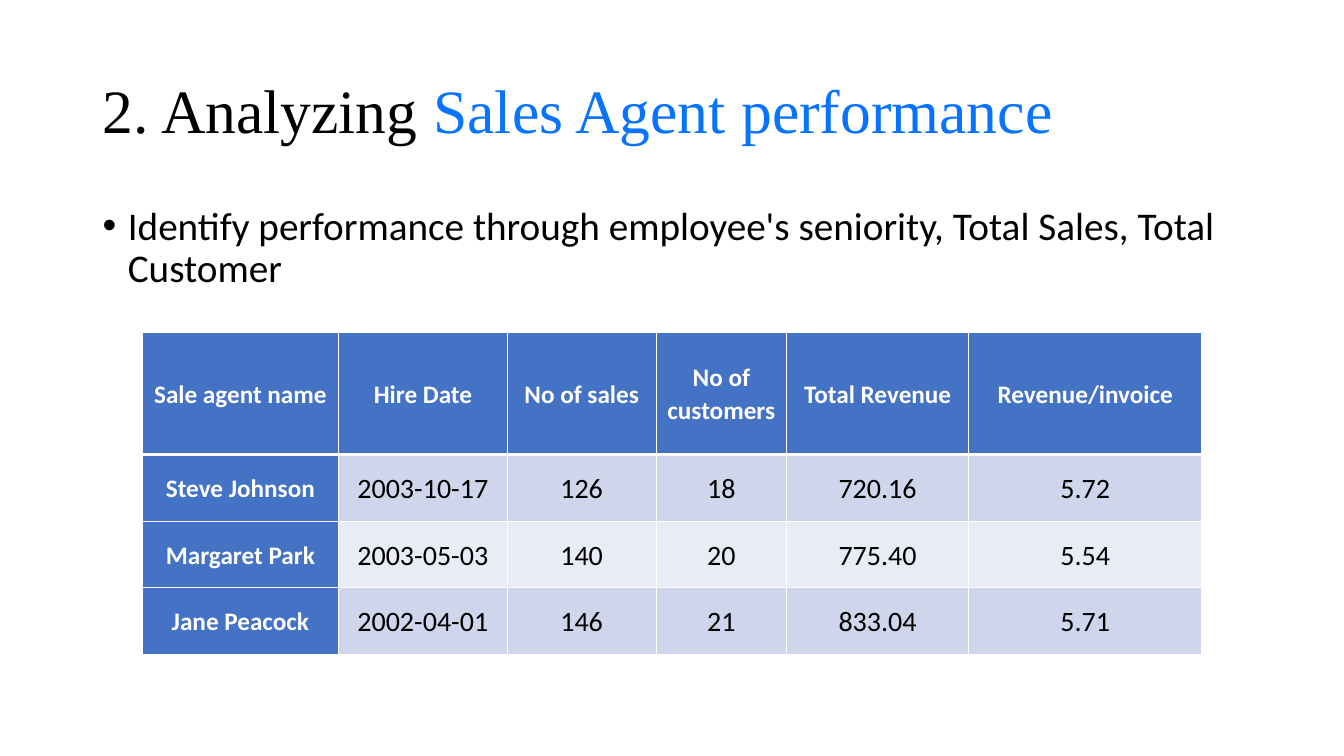
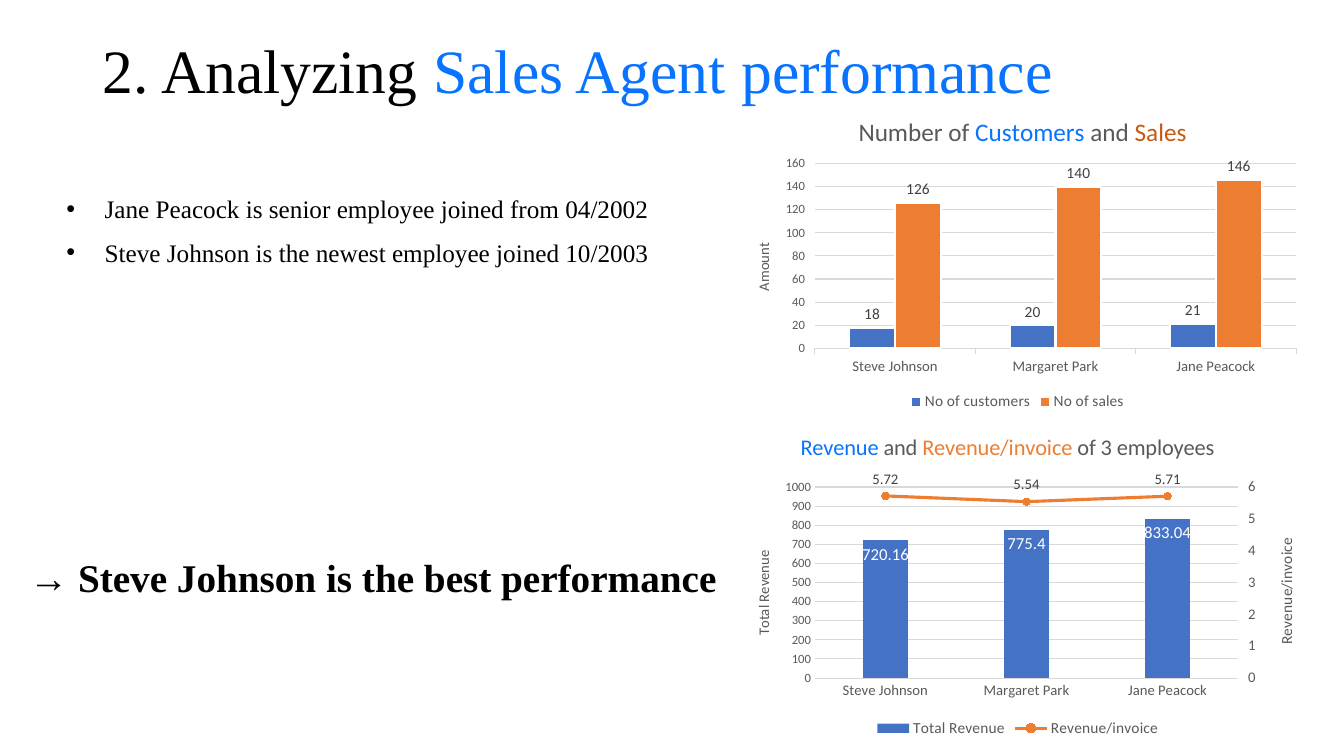
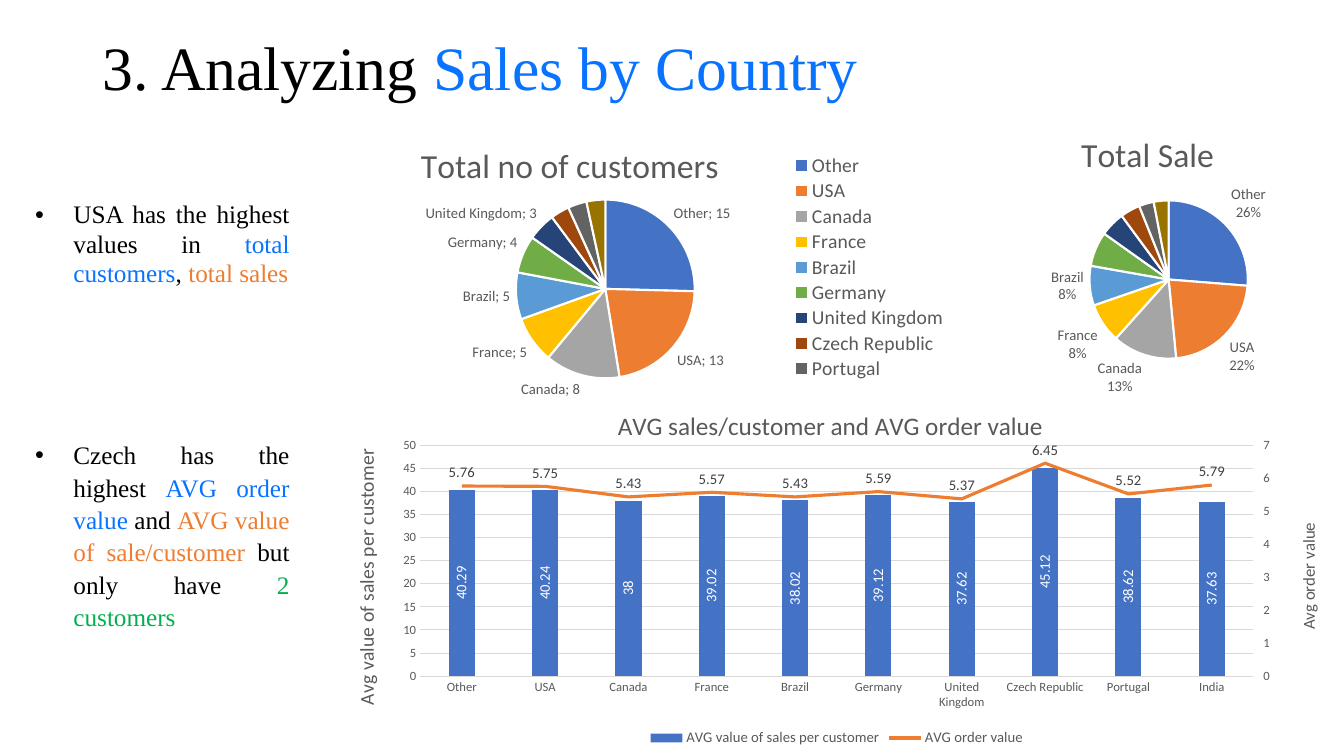
import copy
from dataclasses import dataclass

import pptx
import pptx.chart.axis
import pptx.chart.data
import pptx.dml.color
import pptx.enum.chart
import pptx.enum.text
import pptx.oxml
import pptx.oxml.ns
import pptx.util

Inches = pptx.util.Inches
Pt = pptx.util.Pt
ALIGN = pptx.enum.text.PP_ALIGN
ANCHOR = pptx.enum.text.MSO_ANCHOR
CHART = pptx.enum.chart.XL_CHART_TYPE
LABEL = pptx.enum.chart.XL_LABEL_POSITION
LEGEND = pptx.enum.chart.XL_LEGEND_POSITION
MARKER = pptx.enum.chart.XL_MARKER_STYLE
TICK = pptx.enum.chart.XL_TICK_MARK


@dataclass(frozen=True)
class Theme:
    serif: str = "Times New Roman"
    sans: str = "Calibri"
    black: str = "000000"
    white: str = "FFFFFF"
    accent: str = "0873FE"
    blue: str = "4472C4"
    orange: str = "ED7D31"
    rust: str = "C55A11"
    green: str = "00B050"
    gray: str = "595959"
    label: str = "404040"
    grid: str = "D9D9D9"
    bands: tuple = ("CFD5EA", "E9EBF5")
    slices: tuple = ("4472C4", "ED7D31", "A5A5A5", "FFC000", "5B9BD5",
                     "70AD47", "264478", "9E480E", "636363", "997300")
    title: float = 44
    lead: float = 28
    body: float = 18
    figure: float = 20
    chart_label: float = 10.5
    tick_label: float = 9


THEME = Theme()
AGENTS = ("Steve Johnson", "Margaret Park", "Jane Peacock")
COUNTRIES = ("Other", "USA", "Canada", "France", "Brazil", "Germany",
             "United Kingdom", "Czech Republic", "Portugal", "India")


# Text
def rgb(value):
    return pptx.dml.color.RGBColor.from_string(value)


def style_font(font, size, color, name=THEME.sans, bold=False):
    font.name, font.size, font.bold = name, Pt(size), bold
    font.color.rgb = rgb(color)


def add_runs(paragraph, runs, size, name=THEME.sans, bold=False):
    """runs: (text, colour) pairs."""
    for text, color in runs:
        run = paragraph.add_run()
        run.text = text
        style_font(run.font, size, color, name, bold)


def add_bullet(paragraph, indent):
    properties = paragraph._p.get_or_add_pPr()
    properties.set("marL", str(Inches(indent)))
    properties.set("indent", str(-Inches(indent)))
    for tag, key, value in (("a:buFont", "typeface", "Arial"), ("a:buChar", "char", "•")):
        pptx.oxml.ns.qn(tag)
        properties.append(pptx.oxml.parse_xml(
            f'<{tag} {pptx.oxml.ns.nsdecls("a")} {key}="{value}"/>'))


def add_text(slide, box, paragraphs, size=THEME.body, name=THEME.serif, bold=False,
             indent=0, align=ALIGN.LEFT, spacing=1.07, before=0, after=8):
    frame = slide.shapes.add_textbox(*map(Inches, box)).text_frame
    frame.word_wrap = True
    for index, runs in enumerate(paragraphs):
        paragraph = frame.add_paragraph() if index else frame.paragraphs[0]
        paragraph.alignment, paragraph.line_spacing = align, spacing
        paragraph.space_before, paragraph.space_after = Pt(before), Pt(after)
        if indent:
            add_bullet(paragraph, indent)
        add_runs(paragraph, runs, size, name, bold)


def add_findings(slide, box, paragraphs, spacing=1.07):
    add_text(slide, box, paragraphs, indent=0.38, align=ALIGN.JUSTIFY, spacing=spacing)


def add_titled_slide(deck, top, start, topic):
    slide = deck.slides.add_slide(deck.slide_layouts[5])
    title = slide.shapes.title
    title.left, title.top, title.width, title.height = map(Inches, (0.92, top, 11.5, 1.45))
    frame = title.text_frame
    frame.auto_size = pptx.enum.text.MSO_AUTO_SIZE.NONE
    frame.vertical_anchor = ANCHOR.MIDDLE
    paragraph = frame.paragraphs[0]
    paragraph.alignment, paragraph.line_spacing = ALIGN.LEFT, 0.9
    add_runs(paragraph, [(start, THEME.black), (topic, THEME.accent)], THEME.title, THEME.serif)
    return slide


# Table
def add_border(cell, side, width):
    line = pptx.oxml.parse_xml(
        f'<a:{side} {pptx.oxml.ns.nsdecls("a")} w="{Pt(width)}"><a:solidFill>'
        f'<a:srgbClr val="{THEME.white}"/></a:solidFill></a:{side}>')
    cell._tc.get_or_add_tcPr().append(line)


def fill_cell(cell, text, row, column):
    header = row == 0 or column == 0
    cell.margin_left = cell.margin_right = cell.margin_top = cell.margin_bottom = Inches(0.01)
    cell.vertical_anchor = ANCHOR.MIDDLE
    for side in ("lnL", "lnR", "lnT", "lnB"):
        below_header = (row, side) in ((0, "lnB"), (1, "lnT"))
        add_border(cell, side, 3 if below_header else 1)
    cell.fill.solid()
    cell.fill.fore_color.rgb = rgb(THEME.blue if header else THEME.bands[(row - 1) % 2])
    paragraph = cell.text_frame.paragraphs[0]
    paragraph.alignment, paragraph.line_spacing = ALIGN.CENTER, 1.07
    add_runs(paragraph, [(text, THEME.white if header else THEME.black)],
             THEME.body if header else THEME.figure, bold=header)


def add_table(slide, left, top, widths, heights, rows):
    table = slide.shapes.add_table(
        len(rows), len(widths), Inches(left), Inches(top),
        Inches(sum(widths)), Inches(sum(heights))).table
    for column, width in zip(table.columns, widths):
        column.width = Inches(width)
    for row, height in zip(table.rows, heights):
        row.height = Inches(height)
    for r, texts in enumerate(rows):
        for c, text in enumerate(texts):
            fill_cell(table.cell(r, c), text, r, c)


# Chart parts
def place(part, x, y, w=None, h=None):
    """Set a chart part's position as fractions of the chart."""
    for old in part.xpath("c:layout"):
        part.remove(old)
    target = '<c:layoutTarget val="inner"/>' if part.tag.endswith("plotArea") else ""
    modes = '<c:xMode val="edge"/><c:yMode val="edge"/>'
    sizes = "".join(f'<c:{key} val="{value}"/>' for key, value in zip("xywh", (x, y, w, h))
                    if value is not None)
    layout = pptx.oxml.parse_xml(
        f'<c:layout {pptx.oxml.ns.nsdecls("c")}><c:manualLayout>{target}{modes}{sizes}'
        '</c:manualLayout></c:layout>')
    part.insert(len(part.xpath("c:tx|c:legendPos|c:legendEntry")), layout)


def add_chart(slide, kind, box, categories, series, title, title_size, title_at, plot_at):
    data = pptx.chart.data.CategoryChartData()
    data.categories = categories
    for name, values in series:
        data.add_series(name, values)
    chart = slide.shapes.add_chart(kind, *map(Inches, box), data).chart
    style_font(chart.font, 10, THEME.black)
    chart.has_title = True
    add_runs(chart.chart_title.text_frame.paragraphs[0], title, title_size)
    chart.has_legend = False
    chart.plots[0].vary_by_categories = False
    place(chart.element.xpath("c:chart/c:title")[0], *title_at)
    place(chart.element.xpath("c:chart/c:plotArea")[0], *plot_at)
    return chart


def add_legend(chart, size, position=LEGEND.BOTTOM):
    chart.has_legend = True
    chart.legend.position = position
    chart.legend.include_in_layout = False
    style_font(chart.legend.font, size, THEME.gray)


def style_category_axis(chart, size, tick):
    axis = chart.category_axis
    axis.major_tick_mark = tick
    style_font(axis.tick_labels.font, size, THEME.gray)
    axis.format.line.color.rgb = rgb(THEME.grid)
    axis.format.line.width = Pt(0.75)


def style_value_axis(element, title, title_size, title_at, top, step, tick,
                     size=THEME.tick_label, grid=True):
    axis = pptx.chart.axis.ValueAxis(element)
    axis.minimum_scale, axis.maximum_scale, axis.major_unit = 0, top, step
    axis.major_tick_mark = tick
    axis.has_major_gridlines = grid
    if grid:
        axis.major_gridlines.format.line.color.rgb = rgb(THEME.grid)
        axis.major_gridlines.format.line.width = Pt(0.75)
    axis.format.line.fill.background()
    style_font(axis.tick_labels.font, size, THEME.gray)
    add_runs(axis.axis_title.text_frame.paragraphs[0], [(title, THEME.gray)], title_size)
    heading = element.xpath("c:title")[0]
    turn_text(heading.xpath(".//a:bodyPr")[0])
    place(heading, *title_at)


def turn_text(body):
    body.set("rot", "-5400000")
    body.set("vert", "horz")


def label_values(series, size, color, position):
    labels = series.data_labels
    labels.show_value = True
    labels.position = position
    style_font(labels.font, size, color)
    return labels


def paint(series, color, outlined=False):
    series.format.fill.solid()
    series.format.fill.fore_color.rgb = rgb(color)
    if outlined:
        outline(series.format.line)


def outline(line):
    line.color.rgb = rgb(THEME.white)
    line.width = Pt(1.5)


# Column chart whose second series is a line on the right axis
def split_line_series(chart):
    plot = chart.element.xpath("c:chart/c:plotArea")[0]
    bars = plot.xpath("c:barChart")[0]
    category, value = plot.xpath("c:catAx")[0], plot.xpath("c:valAx")[0]
    lines = pptx.oxml.parse_xml(
        f'<c:lineChart {pptx.oxml.ns.nsdecls("c")}><c:grouping val="standard"/>'
        '<c:varyColors val="0"/><c:marker val="1"/><c:axId val="501"/><c:axId val="502"/>'
        '</c:lineChart>')
    moved = bars.xpath("c:ser")[1]
    for flag in moved.xpath("c:invertIfNegative"):
        moved.remove(flag)
    lines.insert(2, moved)
    bars.addnext(lines)
    right_value, hidden_category = copy.deepcopy(value), copy.deepcopy(category)
    value.addnext(right_value)
    right_value.addnext(hidden_category)
    changes = ((hidden_category, {"axId": "501", "crossAx": "502", "delete": "1"}),
               (right_value, {"axId": "502", "crossAx": "501", "axPos": "r", "crosses": "max"}))
    for axis, settings in changes:
        for tag, setting in settings.items():
            axis.xpath(f"c:{tag}")[0].set("val", setting)
    return value, right_value


def add_combo(slide, box, categories, series, title, title_size, title_at, plot_at,
              left_axis, right_axis, category_size, legend_size, bar_label, marker):
    chart = add_chart(slide, CHART.COLUMN_CLUSTERED, box, categories, series,
                      title, title_size, title_at, plot_at)
    left, right = split_line_series(chart)
    style_category_axis(chart, category_size, TICK.NONE)
    style_value_axis(left, tick=TICK.NONE, **left_axis)
    style_value_axis(right, tick=TICK.OUTSIDE, grid=False, **right_axis)
    columns, lines = chart.plots
    columns.gap_width = 219
    paint(columns.series[0], THEME.blue)
    label_values(columns.series[0], bar_label[0], THEME.white, bar_label[1])
    trend = lines.series[0]
    trend.smooth = False
    trend.format.line.color.rgb = rgb(THEME.orange)
    trend.format.line.width = Pt(2.25)
    trend.marker.style = marker
    if marker != MARKER.NONE:
        trend.marker.size = 5
        paint(trend.marker, THEME.orange)
        trend.marker.format.line.color.rgb = rgb(THEME.orange)
    label_values(trend, THEME.chart_label, THEME.label, LABEL.ABOVE)
    add_legend(chart, legend_size)
    return chart


def add_pie(slide, box, series, title_at, plot_at, labelled, percent, separator):
    """Only the first `labelled` slices carry a label."""
    chart = add_chart(slide, CHART.PIE, box, COUNTRIES, [series],
                      [(series[0], THEME.gray)], 24, title_at, plot_at)
    chart.plots[0].vary_by_categories = True
    pie = chart.plots[0].series[0]
    for index, color in enumerate(THEME.slices):
        paint(pie.points[index], color, outlined=True)
    labels = label_values(pie, THEME.chart_label, THEME.gray, LABEL.OUTSIDE_END)
    labels.show_category_name = True
    labels.show_value, labels.show_percentage = not percent, percent
    if percent:
        labels.number_format, labels.number_format_is_linked = "0%", False
    element = chart.element.xpath(".//c:ser/c:dLbls")[0]
    namespace = pptx.oxml.ns.nsdecls("c")
    for place_in_list, index in enumerate(range(labelled, len(COUNTRIES))):
        element.insert(place_in_list, pptx.oxml.parse_xml(
            f'<c:dLbl {namespace}><c:idx val="{index}"/><c:delete val="1"/></c:dLbl>'))
    mark = pptx.oxml.parse_xml(f"<c:separator {namespace}/>")
    mark.text = separator
    flags = element.xpath("c:showPercent|c:showBubbleSize")
    flags[-1].addnext(mark)
    return chart


# Slides
def build_agent_table(deck):
    slide = add_titled_slide(deck, 0.4, "2. Analyzing ", "Sales Agent performance")
    add_text(slide, (0.92, 2, 11.5, 1.3),
             [[("Identify performance through employee's seniority, Total Sales, Total Customer",
                THEME.black)]],
             THEME.lead, THEME.sans, indent=0.25, spacing=0.9, before=10, after=0)
    add_table(slide, 1.41, 3.3, (1.95, 1.67, 1.48, 1.29, 1.81, 2.31), (1.21, 0.66, 0.66, 0.66), (
        ("Sale agent name", "Hire Date", "No of sales", "No of customers",
         "Total Revenue", "Revenue/invoice"),
        (AGENTS[0], "2003-10-17", "126", "18", "720.16", "5.72"),
        (AGENTS[1], "2003-05-03", "140", "20", "775.40", "5.54"),
        (AGENTS[2], "2002-04-01", "146", "21", "833.04", "5.71")))


def build_agent_charts(deck):
    slide = add_titled_slide(deck, 0, "2. Analyzing ", "Sales Agent performance")
    add_combo(
        slide, (7.22, 4.2, 5.75, 3.16), AGENTS,
        [("Total Revenue", (720.16, 775.4, 833.04)), ("Revenue/invoice", (5.72, 5.54, 5.71))],
        [("Revenue", THEME.accent), (" and ", THEME.gray), ("Revenue/invoice", THEME.orange),
         (" of 3 employees", THEME.gray)], 16, (0.12, 0.02), (0.15, 0.2, 0.73, 0.6),
        dict(title="Total Revenue", title_size=10.5, title_at=(0.04, 0.39), top=1000, step=100),
        dict(title="Revenue/invoice", title_size=11, title_at=(0.94, 0.35), top=6, step=1,
             size=10.5),
        10.5, 11, (12, LABEL.INSIDE_END), MARKER.CIRCLE)

    counts = add_chart(
        slide, CHART.COLUMN_CLUSTERED, (7.22, 0.96, 5.75, 3.16), AGENTS,
        [("No of customers", (18, 20, 21)), ("No of sales", (126, 140, 146))],
        [("Number of ", THEME.gray), ("Customers", THEME.accent), (" and ", THEME.gray),
         ("Sales", THEME.rust)], 18, (0.22, 0.05), (0.15, 0.21, 0.83, 0.58))
    style_category_axis(counts, 10.5, TICK.OUTSIDE)
    style_value_axis(counts.element.xpath(".//c:valAx")[0], "Amount", 10.5, (0.04, 0.45),
                     160, 20, TICK.OUTSIDE)
    counts.plots[0].gap_width, counts.plots[0].overlap = 150, 0
    for series, color in zip(counts.plots[0].series, (THEME.blue, THEME.orange)):
        paint(series, color, outlined=True)
        label_values(series, 11, THEME.label, LABEL.OUTSIDE_END)
    add_legend(counts, 11)

    add_findings(slide, (0.56, 1.85, 6.34, 0.98), [
        [("Jane Peacock is senior employee joined from 04/2002", THEME.black)],
        [("Steve Johnson is the newest employee joined 10/2003", THEME.black)]])
    add_text(slide, (0.19, 5.41, 7.08, 0.49),
             [[("→ Steve Johnson is the best performance", THEME.black)]], THEME.lead, bold=True)


def build_countries(deck):
    slide = add_titled_slide(deck, -0.02, "3. Analyzing ", "Sales by Country")
    add_pie(slide, (9.14, 0.89, 4.76, 3.22), ("Total Sale", (26, 22, 13, 8, 8, 7, 5, 4, 3, 3)),
            (0.32, 0.11), (0.35, 0.34, 0.33, 0.49), 5, True, "\n")
    customers = add_pie(
        slide, (2.65, 1.05, 7.71, 3.08),
        ("Total no of customers", (15, 13, 8, 5, 5, 4, 3, 2, 2, 2)),
        (0.19, 0.1), (0.32, 0.3, 0.23, 0.58), 7, False, "; ")
    add_legend(customers, 14, LEGEND.RIGHT)
    place(customers.element.xpath("c:chart/c:legend")[0], 0.68, 0.15, 0.19, 0.74)

    averages = add_combo(
        slide, (3.26, 3.75, 10.08, 3.7), COUNTRIES,
        [("AVG value of sales per customer",
          (40.29, 40.24, 38, 39.02, 38.02, 39.12, 37.62, 45.12, 38.62, 37.63)),
         ("AVG order value", (5.76, 5.75, 5.43, 5.57, 5.43, 5.59, 5.37, 6.45, 5.52, 5.79))],
        [("AVG sales/customer and AVG order value", THEME.gray)], 18,
        (0.28, 0.07), (0.09, 0.18, 0.82, 0.62),
        dict(title="Avg value of sales per customer", title_size=14, title_at=(0.02, 0.18),
             top=50, step=5),
        dict(title="Avg order value", title_size=12, title_at=(0.95, 0.38), top=7, step=1),
        9, 10.5, (10.5, LABEL.CENTER), MARKER.NONE)
    turn_text(averages.element.xpath(".//c:barChart//c:dLbls/c:txPr/a:bodyPr")[0])

    add_findings(slide, (0.25, 1.94, 2.72, 1.13), [
        [("USA has the highest values in ", THEME.black), ("total customers", THEME.accent),
         (", ", THEME.black), ("total sales", THEME.orange)]], 0.97)
    add_findings(slide, (0.25, 4.29, 2.72, 2.02), [
        [("Czech has the highest ", THEME.black), ("AVG order value", THEME.accent),
         (" and ", THEME.black), ("AVG value of sale/customer", THEME.orange),
         (" but only have ", THEME.black), ("2 customers", THEME.green)]])


def main():
    deck = pptx.Presentation()
    deck.slide_width, deck.slide_height = Inches(13.33), Inches(7.5)
    build_agent_table(deck)
    build_agent_charts(deck)
    build_countries(deck)
    deck.save("out.pptx")


if __name__ == "__main__":
    main()
